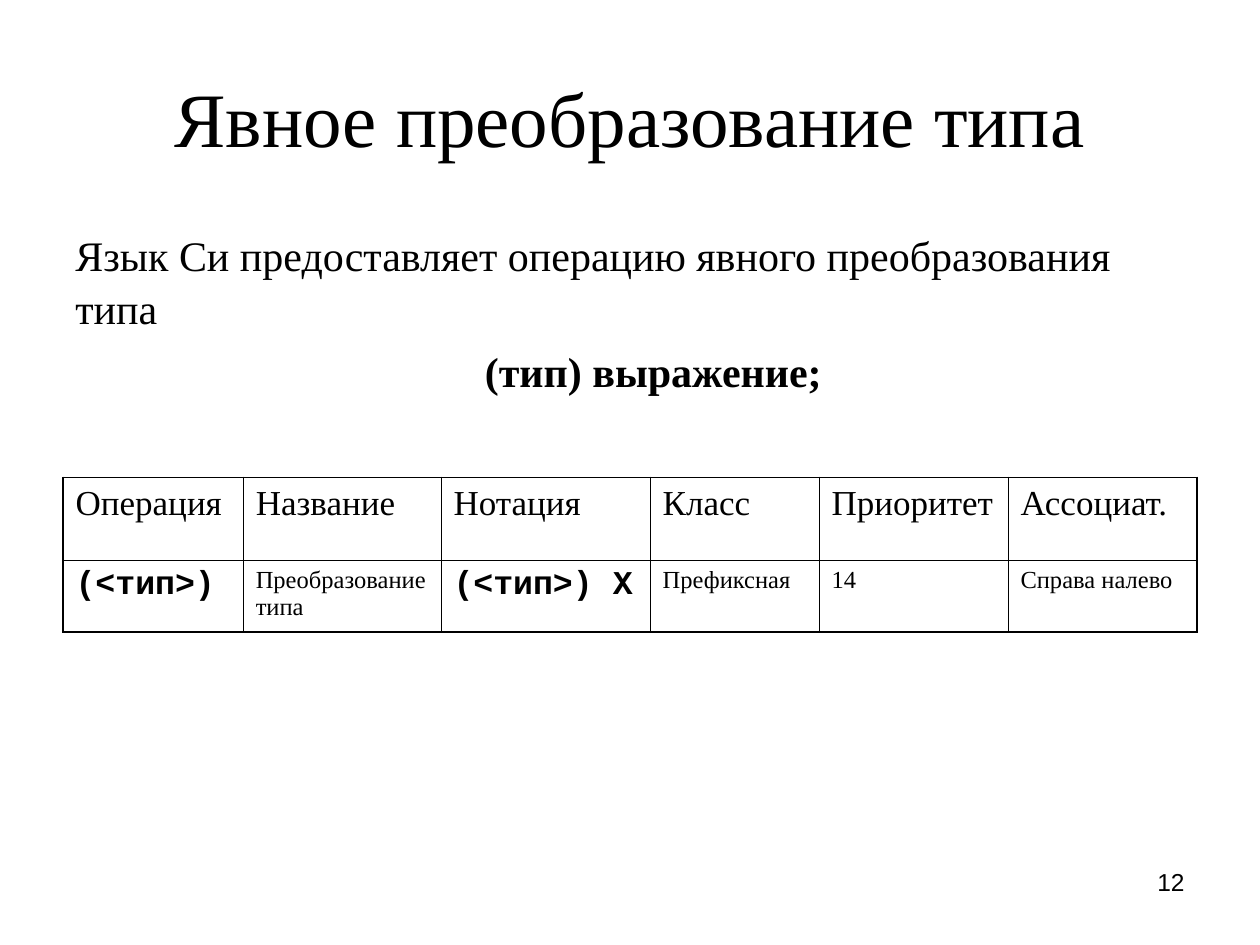
import dataclasses

import lxml.etree
import pptx
import pptx.dml.color
import pptx.enum.text
import pptx.oxml.ns
import pptx.util

Inches, Pt = pptx.util.Inches, pptx.util.Pt
ALIGN = pptx.enum.text.PP_ALIGN
ANCHOR = pptx.enum.text.MSO_ANCHOR


@dataclasses.dataclass(frozen=True)
class Theme:
    ink: str = "000000"
    paper: str = "FFFFFF"
    serif: str = "Times New Roman"
    mono: str = "Courier New"
    sans: str = "Arial"
    title: float = 44
    body: float = 24
    header: float = 20
    code: float = 19
    small: float = 14
    outer_line: float = 1.08
    inner_line: float = 0.45


THEME = Theme()
WIDTH, HEIGHT = 10, 7.5
MARGIN = WIDTH / 20
CONTENT_WIDTH = WIDTH - 2 * MARGIN

COLUMN_WIDTHS = [1.43, 1.57, 1.66, 1.34, 1.5, 1.5]
ROW_HEIGHTS = [0.66, 0.56]
ROWS = [
    ["Операция", "Название", "Нотация", "Класс", "Приоритет", "Ассоциат."],
    ["(<тип>)", "Преобразование типа", "(<тип>) X", "Префиксная", "14", "Справа налево"],
]
CODE_COLUMNS = (0, 2)


def style(paragraph, font_name, size, bold=False, align=ALIGN.LEFT, before=0):
    font = paragraph.font
    font.name, font.size, font.bold = font_name, Pt(size), bold
    font.color.rgb = pptx.dml.color.RGBColor.from_string(THEME.ink)
    paragraph.alignment = align
    paragraph.space_before = Pt(before)


def place(shape, box):
    shape.left, shape.top, shape.width, shape.height = map(Inches, box)


def add_text_box(slide, box):
    frame = slide.shapes.add_textbox(*map(Inches, box)).text_frame
    frame.word_wrap = True
    return frame


def set_title(slide, box):
    title = slide.shapes.title
    place(title, box)
    title.text_frame.text = "Явное преобразование типа"
    title.text_frame.vertical_anchor = ANCHOR.MIDDLE
    style(title.text_frame.paragraphs[0], THEME.serif, THEME.title, align=ALIGN.CENTER)


def add_body(slide, box):
    frame = add_text_box(slide, box)
    statement, syntax = frame.paragraphs[0], frame.add_paragraph()
    statement.text = "Язык Си предоставляет операцию явного преобразования типа"
    syntax.text = "(тип) выражение;"
    for paragraph in (statement, syntax):
        style(paragraph, THEME.serif, THEME.body, bold=paragraph is syntax, before=6)
        paragraph.line_spacing = 1.05
    # The syntax line is indented towards the middle of the slide
    syntax._p.get_or_add_pPr().set("marL", str(Inches(3.25)))


def set_borders(cell, widths):
    """Draw the sides of a cell; widths maps L, R, T, B to points."""
    properties = cell._tc.get_or_add_tcPr()
    qn = pptx.oxml.ns.qn
    for position, (side, width) in enumerate(widths.items()):
        line = lxml.etree.Element(qn(f"a:ln{side}"), w=str(Pt(width)))
        fill = lxml.etree.SubElement(line, qn("a:solidFill"))
        lxml.etree.SubElement(fill, qn("a:srgbClr"), val=THEME.ink)
        properties.insert(position, line)


def add_operation_table(slide, box):
    row_count, column_count = len(ROWS), len(COLUMN_WIDTHS)
    table = slide.shapes.add_table(row_count, column_count, *map(Inches, box)).table
    for column, width in zip(table.columns, COLUMN_WIDTHS):
        column.width = Inches(width)
    for row, height in zip(table.rows, ROW_HEIGHTS):
        row.height = Inches(height)

    def line_width(is_outer):
        return THEME.outer_line if is_outer else THEME.inner_line

    for r, texts in enumerate(ROWS):
        for c, text in enumerate(texts):
            cell = table.cell(r, c)
            cell.text = text
            cell.fill.background()
            paragraph = cell.text_frame.paragraphs[0]
            if r == 0:
                style(paragraph, THEME.serif, THEME.header, before=5)
            elif c in CODE_COLUMNS:
                style(paragraph, THEME.mono, THEME.code, bold=True, before=4.8)
            else:
                style(paragraph, THEME.serif, THEME.small, before=3.5)
            set_borders(cell, {
                "L": line_width(c == 0),
                "R": line_width(c == column_count - 1),
                "T": line_width(r == 0),
                "B": line_width(r == row_count - 1),
            })


def add_page_number(slide, box):
    paragraph = add_text_box(slide, box).paragraphs[0]
    paragraph.text = "12"
    style(paragraph, THEME.sans, THEME.small, align=ALIGN.RIGHT)


def main():
    presentation = pptx.Presentation()
    presentation.slide_width, presentation.slide_height = Inches(WIDTH), Inches(HEIGHT)
    slide = presentation.slides.add_slide(presentation.slide_layouts.get_by_name("Title Only"))
    background = slide.background.fill
    background.solid()
    background.fore_color.rgb = pptx.dml.color.RGBColor.from_string(THEME.paper)

    set_title(slide, (MARGIN, 0.04 * HEIGHT, CONTENT_WIDTH, HEIGHT / 6))
    add_body(slide, (MARGIN, 1.75, CONTENT_WIDTH, 1.61))
    add_operation_table(slide, (MARGIN, 3.79, CONTENT_WIDTH, sum(ROW_HEIGHTS)))
    number_width = 2.33
    add_page_number(slide, (WIDTH - MARGIN - number_width, 6.83, number_width, 0.52))
    presentation.save("out.pptx")


if __name__ == "__main__":
    main()
